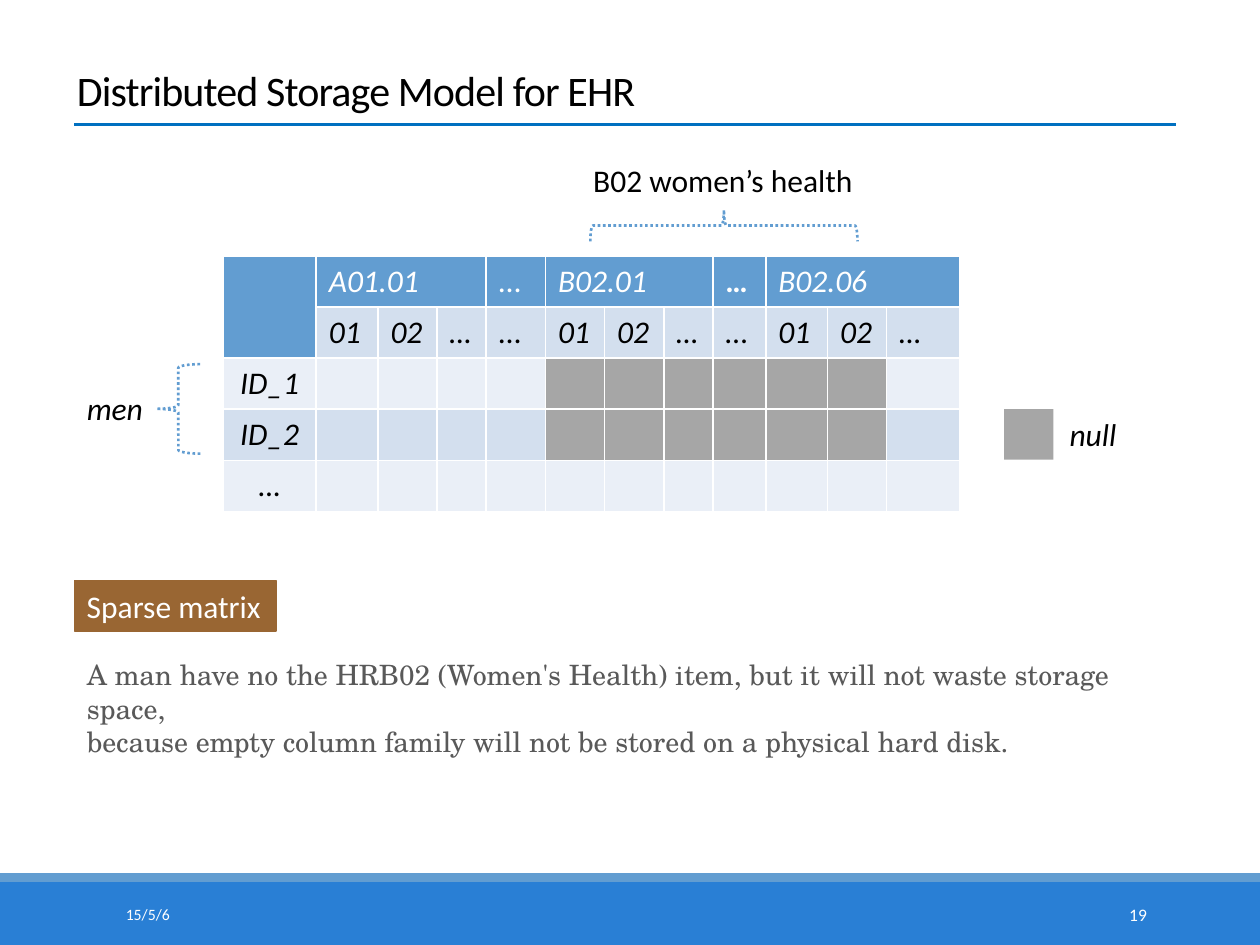
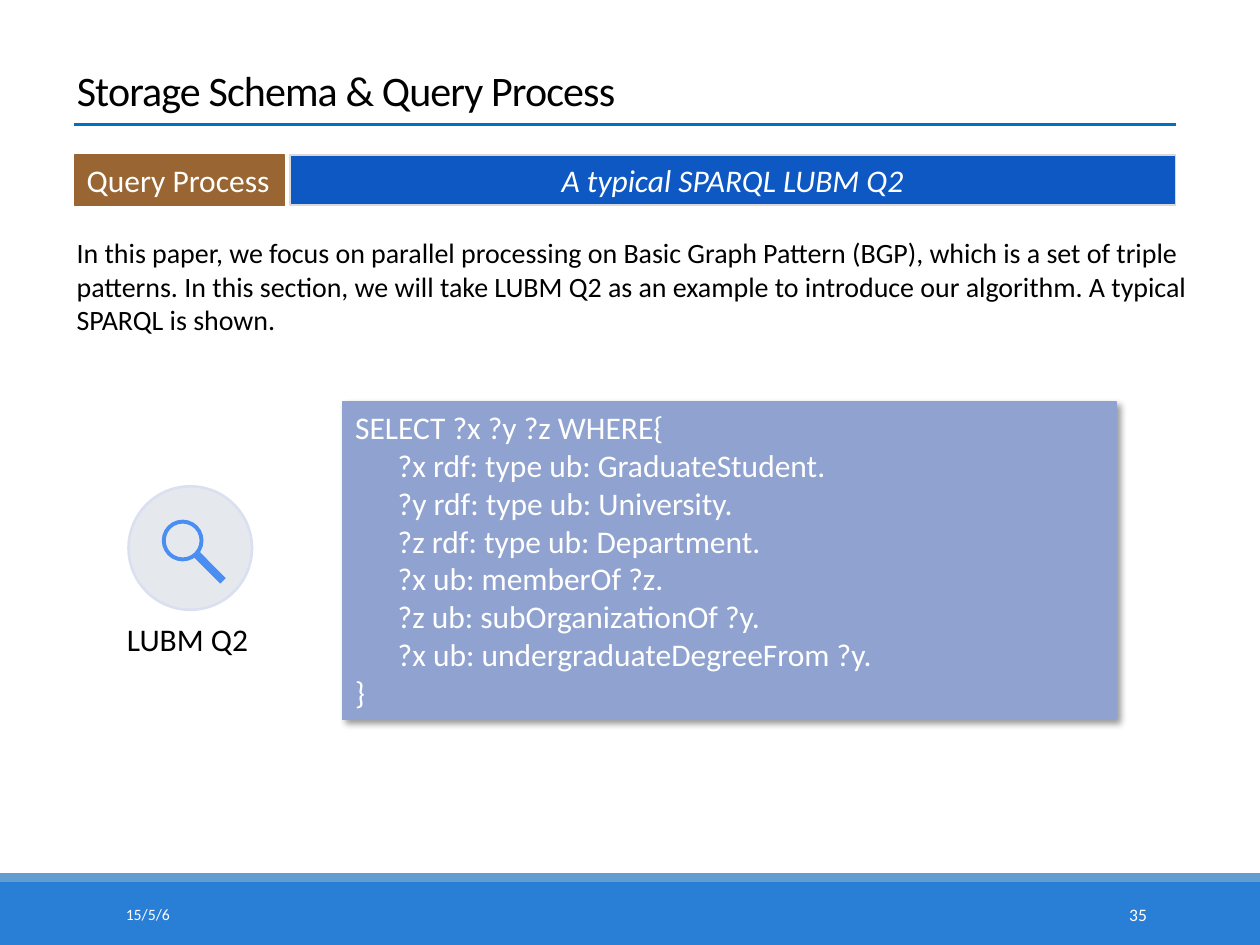
from lxml import etree
from pptx import Presentation
from pptx.dml.color import RGBColor
from pptx.enum.dml import MSO_LINE
from pptx.enum.shapes import MSO_CONNECTOR, MSO_SHAPE
from pptx.enum.text import MSO_ANCHOR, PP_ALIGN
from pptx.oxml.ns import qn
from pptx.util import Inches, Pt

RECT, OVAL, BRACE = MSO_SHAPE.RECTANGLE, MSO_SHAPE.OVAL, MSO_SHAPE.LEFT_BRACE
STRAIGHT, DOTTED = MSO_CONNECTOR.STRAIGHT, MSO_LINE.ROUND_DOT
TOP, MIDDLE, BOTTOM = MSO_ANCHOR.TOP, MSO_ANCHOR.MIDDLE, MSO_ANCHOR.BOTTOM
ALIGN_LEFT, ALIGN_CENTER, ALIGN_RIGHT = PP_ALIGN.LEFT, PP_ALIGN.CENTER, PP_ALIGN.RIGHT

WHITE = RGBColor(0xFF, 0xFF, 0xFF)
BLACK = RGBColor(0x00, 0x00, 0x00)
BODY_GRAY = RGBColor(0x59, 0x59, 0x59)
FOOTER_BLUE = RGBColor(0x29, 0x7F, 0xD5)
HEADER_BLUE = RGBColor(0x62, 0x9D, 0xD1)
RULE_BLUE = RGBColor(0x00, 0x70, 0xC0)
BANNER_BLUE = RGBColor(0x0E, 0x58, 0xC4)
BANNER_EDGE = RGBColor(0xD9, 0xD9, 0xD9)
TAG_BROWN = RGBColor(0x99, 0x66, 0x33)
BAND_DARK = RGBColor(0xD3, 0xDF, 0xEE)
BAND_LIGHT = RGBColor(0xEA, 0xEF, 0xF7)
NULL_GRAY = RGBColor(0xA6, 0xA6, 0xA6)
CODE_FILL = RGBColor(0x90, 0xA2, 0xCF)
DISC_FILL = RGBColor(0xE5, 0xE9, 0xEE)
DISC_EDGE = RGBColor(0xDA, 0xE0, 0xEF)
LENS_BLUE = RGBColor(0x4A, 0x8E, 0xF2)

FONT, SERIF = "Calibri", "TeX Gyre Schola"
WIDTH, HEIGHT = 10, 7.5
LEFT, RIGHT = 0.59, 9.33
TEXT_LEFT = 0.51
ROW = 0.4
TAG_TOP = 1.23
FOOTER_TOP, STRIPE = 7, 0.07
DATE = "15/5/6"

STORAGE = {
    "title": "Distributed Storage Model for EHR",
    "number": "19",
    "tag": "Sparse matrix",
    "note": "A man have no the HRB02 (Women's Health) item, but it will not waste "
            "storage space,\nbecause empty column family will not be stored on a "
            "physical hard disk.",
}
# First column, columns spanned, label
FAMILIES = [(1, 3, "A01.01"), (4, 1, "…"), (5, 3, "B02.01"), (8, 1, "…"), (9, 3, "B02.06")]
QUALIFIERS = ["01", "02", "…", "…", "01", "02", "…", "…", "01", "02", "…"]
RECORDS = ["ID_1", "ID_2", "…"]
GAP_COLUMNS = (4, 8)
NULL_COLUMNS = range(5, 11)
NULL_RECORDS = RECORDS[:2]
COLUMNS = [0.74, 0.49, 0.47, 0.39, 0.47, 0.47, 0.47, 0.39, 0.42, 0.49, 0.47, 0.58]
TABLE_LEFT, TABLE_TOP, TABLE_ROW = 1.77, 2.03, 0.406

QUERY = {
    "title": "Storage Schema & Query Process",
    "number": "35",
    "tag": "Query Process",
    "banner": "A typical SPARQL LUBM Q2",
    "intro": "In this paper, we focus on parallel processing on Basic Graph Pattern (BGP), "
             "which is a set of triple patterns. In this section, we will take LUBM Q2 as an "
             "example to introduce our algorithm. A typical SPARQL is shown.",
    "icon": "LUBM Q2",
}
CODE = [
    "SELECT ?x ?y ?z WHERE{",
    "      ?x rdf: type ub: GraduateStudent.",
    "      ?y rdf: type ub: University.",
    "      ?z rdf: type ub: Department.",
    "      ?x ub: memberOf ?z.",
    "      ?z ub: subOrganizationOf ?y.",
    "      ?x ub: undergraduateDegreeFrom ?y.",
    "}",
]


def inches(*lengths):
    return [Inches(length) for length in lengths]


def write(frame, lines, size=18, color=BLACK, font=FONT, bold=False, italic=False,
          align=ALIGN_LEFT, anchor=TOP, wrap=True):
    """Fill a text frame, one paragraph for each line."""
    if isinstance(lines, str):
        lines = [lines]
    frame.word_wrap = wrap
    frame.vertical_anchor = anchor
    for index, line in enumerate(lines):
        para = frame.paragraphs[0] if index == 0 else frame.add_paragraph()
        para.text = line
        para.alignment = align
        for span in para.runs:
            span.font.name = font
            span.font.size = Pt(size)
            span.font.color.rgb = color
            span.font.bold = bold
            span.font.italic = italic


def add_text(shapes, area, lines, **style):
    box = shapes.add_textbox(*inches(*area))
    write(box.text_frame, lines, **style)


def add_block(shapes, kind, area, fill=None, line=None, weight=0.75):
    block = shapes.add_shape(kind, *inches(*area))
    block.shadow.inherit = False
    if fill is None:
        block.fill.background()
    else:
        block.fill.solid()
        block.fill.fore_color.rgb = fill
    if line is None:
        block.line.fill.background()
    else:
        block.line.color.rgb = line
        block.line.width = Pt(weight)
    return block


def add_line(shapes, start, end, color, weight):
    line = shapes.add_connector(STRAIGHT, *inches(*start, *end))
    line.line.color.rgb = color
    line.line.width = Pt(weight)
    etree.SubElement(line._element.spPr, qn("a:effectLst"))


def add_brace(shapes, area, rotation=0):
    brace = add_block(shapes, BRACE, area, line=HEADER_BLUE, weight=1.5)
    brace.line.dash_style = DOTTED
    brace.rotation = rotation


def add_tag(shapes, top, width, text):
    tag = add_block(shapes, RECT, (LEFT, top, width, ROW), TAG_BROWN, TAG_BROWN)
    write(tag.text_frame, text, color=WHITE, wrap=False)


def cast_shadow(shape):
    effects = shape._element.spPr.find(qn("a:effectLst"))
    shadow = etree.SubElement(effects, qn("a:outerShdw"), blurRad=str(Pt(4)), dist=str(Pt(3)),
                              dir=str(45 * 60000), algn="tl", rotWithShape="0")
    color = etree.SubElement(shadow, qn("a:srgbClr"), val="000000")
    etree.SubElement(color, qn("a:alpha"), val="40000")


def start_slide(deck, content):
    """Add a slide with its title, rule and footer bands."""
    slide = deck.slides.add_slide(deck.slide_layouts[5])
    shapes = slide.shapes
    add_block(shapes, RECT, (0, FOOTER_TOP, WIDTH, HEIGHT - FOOTER_TOP), FOOTER_BLUE)
    add_block(shapes, RECT, (0, FOOTER_TOP - STRIPE, WIDTH, STRIPE), HEADER_BLUE)

    title = shapes.title
    title.left, title.top, title.width, title.height = inches(TEXT_LEFT, 0.36, 7.5, 0.6)
    write(title.text_frame, content["title"], size=24, anchor=BOTTOM)
    para = title.text_frame.paragraphs[0]
    para.line_spacing = 0.85
    para.runs[0].font._element.set("spc", "-50")

    add_line(shapes, (LEFT, 0.99), (RIGHT, 0.99), RULE_BLUE, 1.5)
    add_text(shapes, (0.9, 7.06, 2.03, ROW), DATE, size=9, color=WHITE, anchor=MIDDLE)
    add_text(shapes, (8.12, 7.06, 1.08, ROW), content["number"], size=10, color=WHITE,
             align=ALIGN_RIGHT, anchor=MIDDLE)
    return shapes


def add_matrix(shapes):
    row_count = 2 + len(RECORDS)
    frame = shapes.add_table(row_count, len(COLUMNS), *inches(
        TABLE_LEFT, TABLE_TOP, sum(COLUMNS), row_count * TABLE_ROW))
    table = frame.table
    table.horz_banding = False
    for column, width in zip(table.columns, COLUMNS):
        column.width = Inches(width)

    for row in range(row_count):
        for column in range(len(COLUMNS)):
            if row == 0 or (row == 1 and column == 0):
                fill = HEADER_BLUE
            elif row >= 2 and RECORDS[row - 2] in NULL_RECORDS and column in NULL_COLUMNS:
                fill = NULL_GRAY
            else:
                fill = BAND_DARK if row % 2 else BAND_LIGHT
            cell = table.cell(row, column)
            cell.fill.solid()
            cell.fill.fore_color.rgb = fill

    table.cell(0, 0).merge(table.cell(1, 0))
    for column, span, label in FAMILIES:
        cell = table.cell(0, column)
        if span > 1:
            cell.merge(table.cell(0, column + span - 1))
        write(cell.text_frame, label, color=WHITE, bold=column == 8,
              italic=column not in GAP_COLUMNS)
    for column, label in enumerate(QUALIFIERS, start=1):
        write(table.cell(1, column).text_frame, label, italic=column not in GAP_COLUMNS)
    for row, label in enumerate(RECORDS, start=2):
        cell = table.cell(row, 0)
        write(cell.text_frame, label, italic=True, align=ALIGN_CENTER)
        cell.vertical_anchor = MIDDLE


def build_storage(deck):
    shapes = start_slide(deck, STORAGE)
    add_matrix(shapes)
    add_brace(shapes, (1.24, 2.89, 0.35, 0.71))
    add_text(shapes, (LEFT, 3.04, 0.65, ROW), "men", italic=True, wrap=False)
    add_text(shapes, (4.61, TAG_TOP, 2.28, ROW), "B02 women’s health", wrap=False)
    add_brace(shapes, (5.62, 0.73, 0.25, 2.12), rotation=90)

    legend_top = TABLE_TOP + 3 * TABLE_ROW
    add_block(shapes, RECT, (7.97, legend_top, 0.39, ROW), NULL_GRAY)
    add_text(shapes, (8.39, legend_top, 0.59, ROW), "null", italic=True, wrap=False)

    add_tag(shapes, 4.61, 1.6, STORAGE["tag"])
    add_text(shapes, (LEFT, 5.17, 8.71, 0.64), STORAGE["note"], size=16, color=BODY_GRAY,
             font=SERIF)


def add_search_icon(shapes):
    icon = shapes.add_group_shape().shapes
    add_block(icon, OVAL, (1.02, 3.86, 0.98, 0.98), DISC_FILL, DISC_EDGE, 1.5)
    add_text(icon, (0.91, 4.87, 1.26, ROW), QUERY["icon"])
    add_block(icon, OVAL, (1.3, 4.14, 0.3, 0.3), line=LENS_BLUE, weight=2.25)
    add_line(icon, (1.55, 4.39), (1.77, 4.61), LENS_BLUE, 4.5)


def build_query(deck):
    shapes = start_slide(deck, QUERY)
    add_tag(shapes, TAG_TOP, 1.67, QUERY["tag"])
    add_text(shapes, (TEXT_LEFT, 1.82, 9.21, 0.91), QUERY["intro"], size=16)

    code = add_block(shapes, RECT, (2.72, 3.19, 6.14, 2.52), CODE_FILL, CODE_FILL)
    cast_shadow(code)
    write(code.text_frame, CODE, color=WHITE)

    add_search_icon(shapes)
    banner = add_block(shapes, RECT, (2.3, TAG_TOP, RIGHT - 2.3, ROW), BANNER_BLUE, BANNER_EDGE, 1)
    write(banner.text_frame, QUERY["banner"], color=WHITE, italic=True, align=ALIGN_CENTER,
          anchor=MIDDLE)


def main():
    deck = Presentation()
    deck.slide_width, deck.slide_height = inches(WIDTH, HEIGHT)
    build_storage(deck)
    build_query(deck)
    deck.save("out.pptx")


if __name__ == "__main__":
    main()
